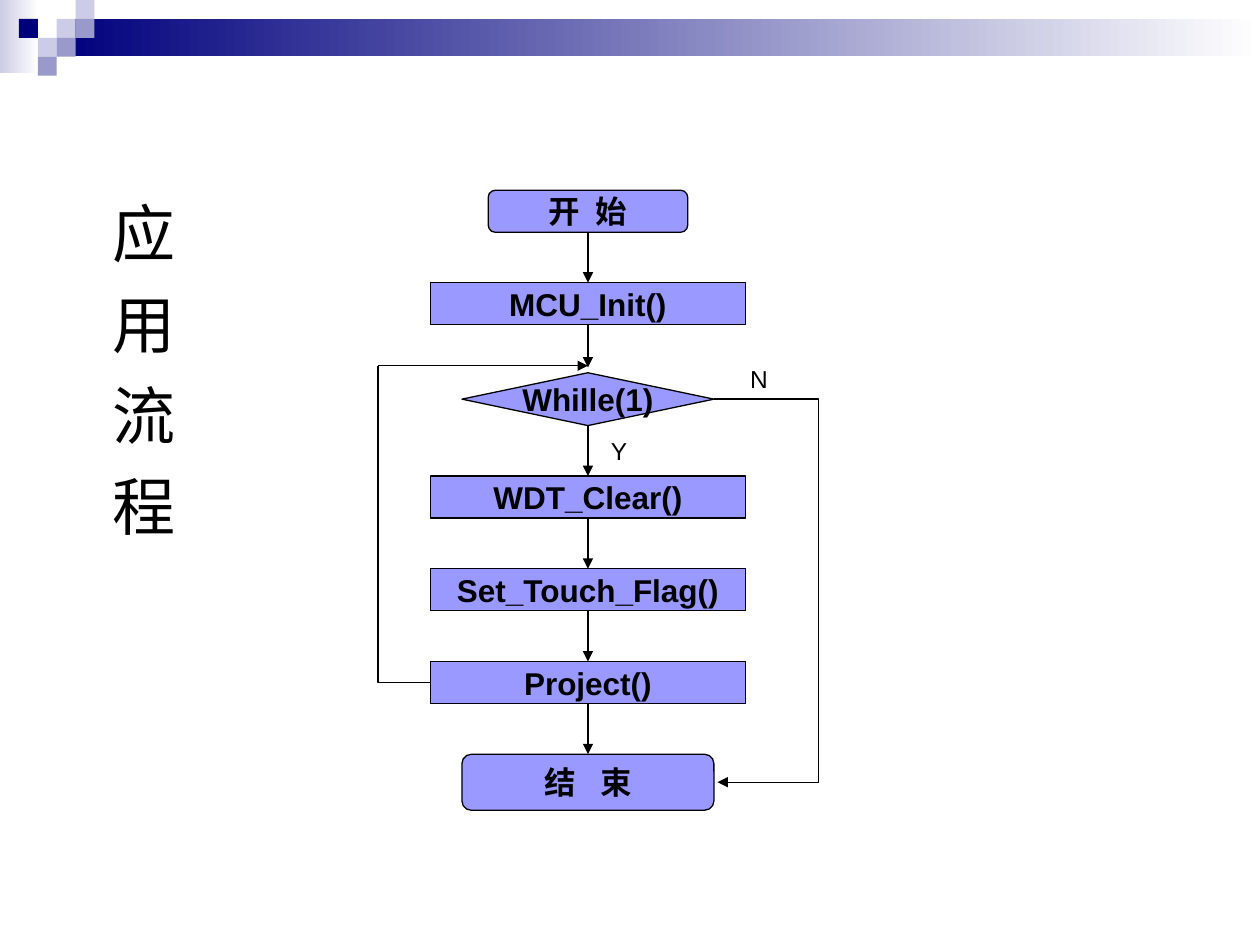
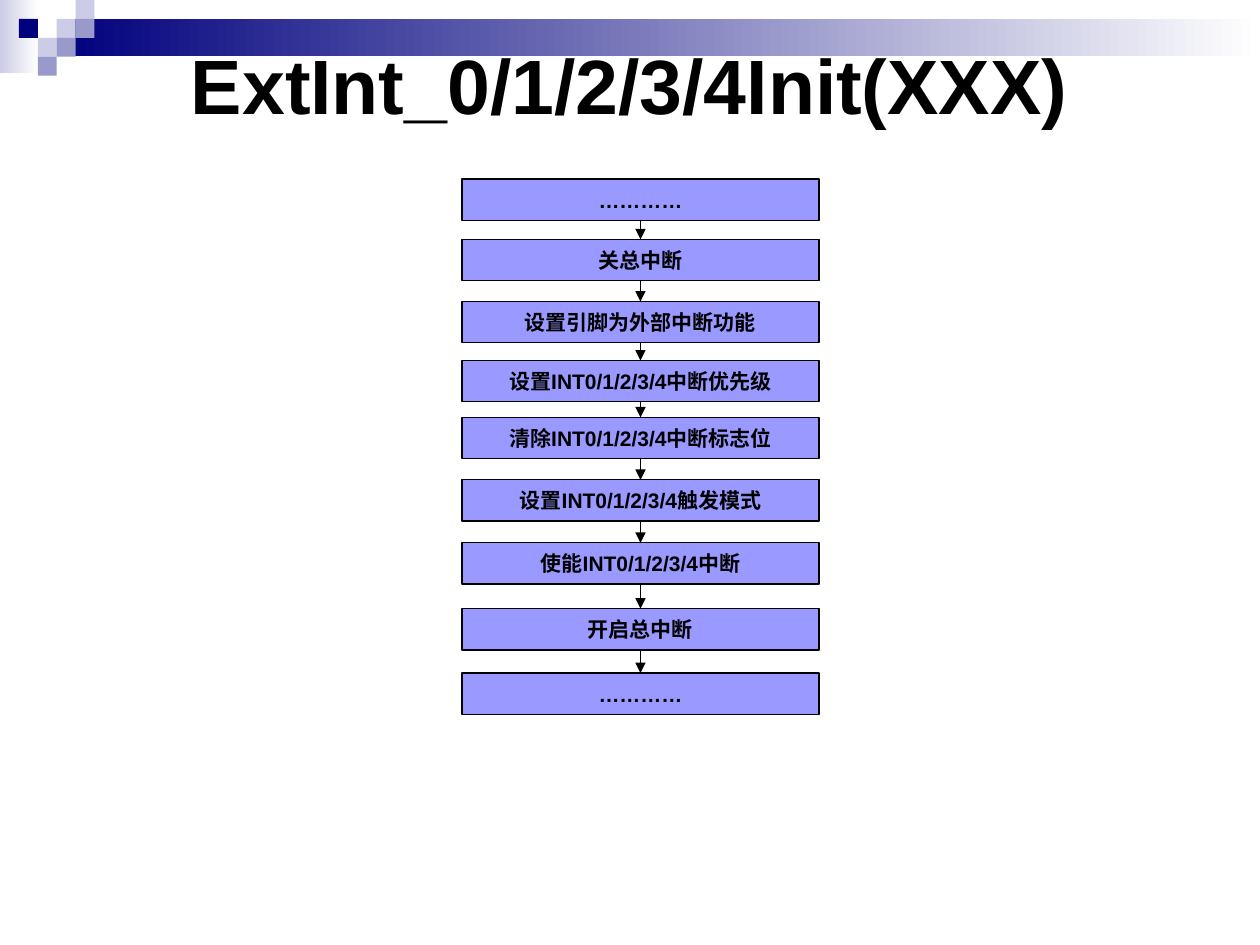
"""Build two flowchart slides that share one banded layout."""
from itertools import pairwise

from lxml.etree import SubElement
from pptx import Presentation
from pptx.dml.color import RGBColor
from pptx.enum.shapes import MSO_CONNECTOR as CONNECTOR, MSO_SHAPE as SHAPE
from pptx.enum.text import MSO_ANCHOR as ANCHOR, MSO_AUTO_SIZE as AUTO_SIZE, PP_ALIGN as ALIGN
from pptx.oxml.ns import qn
from pptx.util import Pt

NAVY, LAVENDER, MAUVE = "00007D", "CCCCE6", "9999CC"
BOX_FILL, BLACK, WHITE = "9999FF", "000000", "FFFFFF"
color = RGBColor.from_string


def add_box(slide, kind, bounds, text="", size=18, bold=True, fill=None, line=None, gap=0):
    left, top, width, height = map(Pt, bounds)
    if kind is None:
        shape = slide.shapes.add_textbox(left, top, width, height)
    else:
        shape = slide.shapes.add_shape(kind, left, top, width, height)
        shape.shadow.inherit = False
    if fill:
        shape.fill.solid()
        shape.fill.fore_color.rgb = color(fill)
    if line:
        shape.line.color.rgb = color(line)
        shape.line.width = Pt(0.75)
    else:
        shape.line.fill.background()
    frame = shape.text_frame
    frame.word_wrap = kind is None
    frame.vertical_anchor = ANCHOR.MIDDLE
    paragraph = frame.paragraphs[0]
    paragraph.alignment = ALIGN.CENTER
    for piece in text if gap else [text] if text else []:
        run = paragraph.add_run()
        run.text = piece
        run.font.name = "Arial"
        run.font.size = Pt(size)
        run.font.bold = bold
        run.font.color.rgb = color(BLACK)
        if piece == " ":
            run.font._element.set("spc", str(gap * 100))
    return shape


def add_line(slide, begin, end, arrow=True, bend_x=None):
    kind = CONNECTOR.STRAIGHT if bend_x is None else CONNECTOR.ELBOW
    connector = slide.shapes.add_connector(kind, *map(Pt, begin + end))
    connector.line.color.rgb = color(BLACK)
    connector.line.width = Pt(0.75)
    properties = connector.element.spPr
    if arrow:
        SubElement(properties.find(qn("a:ln")), qn("a:tailEnd"), type="triangle")
    SubElement(properties, qn("a:effectLst"))
    if bend_x is not None:
        ratio = (bend_x - begin[0]) / (end[0] - begin[0])
        adjustments = properties.find(qn("a:prstGeom")).get_or_add_avLst()
        SubElement(adjustments, qn("a:gd"), name="adj1", fmla=f"val {round(ratio * 100000)}")


presentation = Presentation()
presentation.slide_width, presentation.slide_height = Pt(720), Pt(540)
layout = presentation.slide_layouts[6]
flow_slide, init_slide = [presentation.slides.add_slide(layout) for _ in range(2)]

banner = []
for bounds, start_color in [((0, 0, 22, 42), LAVENDER), ((32.5, 10.8, 687.5, 21.4), NAVY)]:
    shape = add_box(flow_slide, SHAPE.RECTANGLE, bounds)
    shape.fill.gradient()
    shape.fill.gradient_angle = 0
    for stop, stop_color in zip(shape.fill.gradient_stops, (start_color, WHITE)):
        stop.color.rgb = color(stop_color)
    banner.append(shape)

tile = 10.8
for column, row, fill in [
    (3, 1, LAVENDER), (4, 0, LAVENDER), (4, 1, MAUVE), (2, 2, LAVENDER),
    (1, 1, NAVY), (3, 2, MAUVE), (2, 3, MAUVE),
]:
    bounds = (column * tile, row * tile, tile, tile)
    banner.append(add_box(flow_slide, SHAPE.RECTANGLE, bounds, fill=fill))
for shape in banner:
    layout.shapes.element.append(shape.element)

center = 336
steps = [
    (SHAPE.ROUNDED_RECTANGLE, 108.7, 114, 24, "开 始", 5),
    (SHAPE.RECTANGLE, 161.5, 180, 24, "MCU_Init()", 0),
    (SHAPE.DIAMOND, 213, 144, 30.2, "Whille(1)", 0),
    (SHAPE.RECTANGLE, 272, 180, 24, "WDT_Clear()", 0),
    (SHAPE.RECTANGLE, 325, 180, 24, "Set_Touch_Flag()", 0),
    (SHAPE.RECTANGLE, 378, 180, 24, "Project()", 0),
    (SHAPE.ROUNDED_RECTANGLE, 431, 144, 32, "结 束", 10),
]
for kind, top, width, height, text, gap in steps:
    bounds = (center - width / 2, top, width, height)
    add_box(flow_slide, kind, bounds, text, fill=BOX_FILL, line=BLACK, gap=gap)
for (_, top, _, height, *_), (next_kind, next_top, *_) in pairwise(steps):
    arrow_end = next_top - 3 if next_kind == SHAPE.DIAMOND else next_top
    add_line(flow_slide, (center, top + height), (center, arrow_end))

add_line(flow_slide, (246, 390), (216, 209), arrow=False, bend_x=216)
add_line(flow_slide, (216, 209), (center, 209))
add_line(flow_slide, (408, 228), (410, 447), bend_x=467.3)
for text, left, top in [("Y", 342, 245.5), ("N", 421.5, 204)]:
    label = add_box(flow_slide, None, (left, top, 24, 24.5), text, 14, False)
    label.text_frame.paragraphs[0].alignment = ALIGN.LEFT

heading = add_box(flow_slide, None, (48, 108, 58, 288), "应 用 流 程", 36, False, gap=8)
frame = heading.text_frame
frame.vertical_anchor = ANCHOR.TOP
frame.auto_size = AUTO_SIZE.SHAPE_TO_FIT_TEXT
frame.margin_left = frame.margin_right = Pt(3.6)
frame.margin_top = frame.margin_bottom = Pt(7.2)
frame._txBody.bodyPr.set("vert", "eaVert")

add_box(init_slide, None, (36, 36, 648, 24), "ExtInt_0/1/2/3/4Init(XXX)", 44)
init_steps = [
    (102.3, "…………"),
    (136.8, "关总中断"),
    (172.3, "设置引脚为外部中断功能"),
    (206, "设置INT0/1/2/3/4中断优先级"),
    (238.5, "清除INT0/1/2/3/4中断标志位"),
    (274.2, "设置INT0/1/2/3/4触发模式"),
    (310.2, "使能INT0/1/2/3/4中断"),
    (347.8, "开启总中断"),
    (384.6, "…………"),
]
for top, text in init_steps:
    add_box(init_slide, SHAPE.RECTANGLE, (264, top, 204, 23.6), text, 12, fill=BOX_FILL, line=BLACK)
for (top, _), (next_top, _) in pairwise(init_steps):
    add_line(init_slide, (366, top + 23.6), (366, next_top))

presentation.save("out.pptx")
